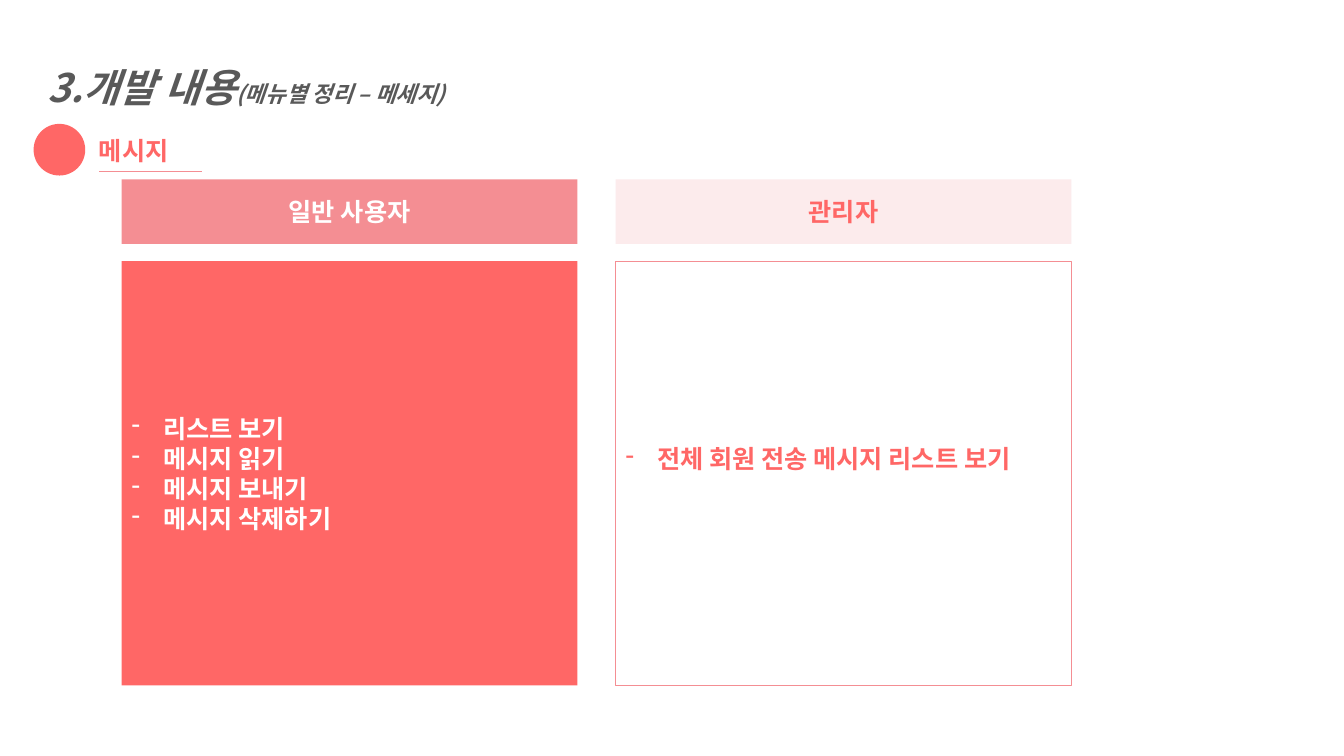
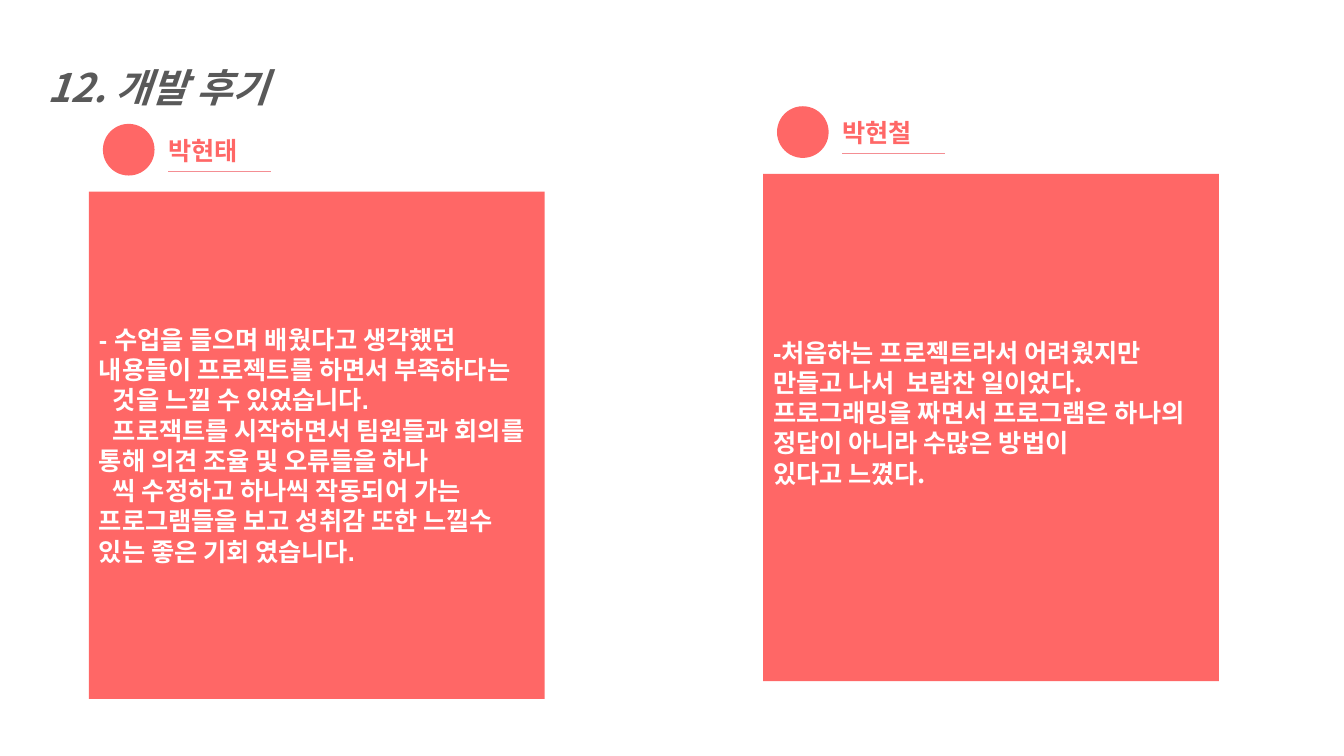
import pptx
import pptx.util
import pptx.dml.color
import pptx.enum.shapes
import pptx.enum.text
import pptx.oxml.ns
import lxml.etree

COLS, ROWS = 160, 90
CORAL, PINK, PALE, WHITE, GREY = "FF6766", "F48E93", "FCEBEC", "FFFFFF", "595959"
ARIAL, NOTO = "Arial", "Noto Sans CJK KR"
PANEL_W = 54.25
SHAPE = pptx.enum.shapes.MSO_SHAPE
ALIGN = pptx.enum.text.PP_ALIGN
ANCHOR = pptx.enum.text.MSO_ANCHOR


def rgb(value):
    return pptx.dml.color.RGBColor.from_string(value)


def add_child(parent, tag, **attrs):
    return lxml.etree.SubElement(parent, pptx.oxml.ns.qn(tag), attrs)


class Deck:
    def __init__(self):
        self.prs = pptx.Presentation()
        self.prs.slide_width = pptx.util.Inches(13.33)
        self.prs.slide_height = pptx.util.Inches(7.5)
        self.s = None

    def x(self, cols):
        return round(self.prs.slide_width * cols / COLS)

    def y(self, rows):
        return round(self.prs.slide_height * rows / ROWS)

    def box(self, x, y, w, h):
        return self.x(x), self.y(y), self.x(w), self.y(h)

    def run(self, p, text, size=18, color=CORAL, font=NOTO, italic=False):
        r = p.add_run()
        r.text = text
        r.font.size = pptx.util.Pt(size)
        r.font.bold = True
        r.font.italic = italic
        r.font.name = font
        r.font.color.rgb = rgb(color)
        add_child(r.font._element, "a:ea", typeface=NOTO)

    def slide(self, title, subtitle=""):
        self.s = self.prs.slides.add_slide(self.prs.slide_layouts[6])
        tf = self.s.shapes.add_textbox(*self.box(4.5, 4.1, 79.8, 9.7)).text_frame
        tf.word_wrap = True
        p = tf.paragraphs[0]
        p.line_spacing = 1.5
        self.run(p, title, 28, GREY, italic=True)
        if subtitle:
            self.run(p, subtitle, 16, GREY, italic=True)

    def shape(self, kind, x, y, w, h, fill, line=None):
        sp = self.s.shapes.add_shape(kind, *self.box(x, y, w, h))
        sp.shadow.inherit = False
        sp.fill.solid()
        sp.fill.fore_color.rgb = rgb(fill)
        if line:
            sp.line.color.rgb = rgb(line)
            sp.line.width = pptx.util.Pt(1)
        else:
            sp.line.fill.background()
        return sp

    def badge(self, x, y, label):
        self.shape(SHAPE.OVAL, x, y, 6.15, 6.15, CORAL)
        tf = self.s.shapes.add_textbox(*self.box(x + 6.6, y + 0.75, 11.5, 4.8)).text_frame
        tf.word_wrap = False
        self.run(tf.paragraphs[0], label)
        left, level = self.x(x + 7.8), self.y(y + 5.65)
        ln = self.s.shapes.add_connector(
            pptx.enum.shapes.MSO_CONNECTOR.STRAIGHT, left, level, self.x(x + 20), level)
        ln.line.color.rgb = rgb(PINK)
        ln.line.width = pptx.util.Pt(0.5)
        add_child(ln._element.spPr, "a:effectLst")

    def panel(self, x, y, h, paragraphs, fill=CORAL, color=WHITE, line=None,
              align=ALIGN.LEFT, bullets=False, indents=(), raised=False):
        sp = self.shape(SHAPE.RECTANGLE, x, y, PANEL_W, h, fill, line)
        tf = sp.text_frame
        tf.word_wrap = True
        tf.vertical_anchor = ANCHOR.MIDDLE
        if raised:
            tf.margin_bottom = self.y(4.2)
        for i, runs in enumerate(paragraphs):
            p = tf.add_paragraph() if i else tf.paragraphs[0]
            p.alignment = align
            pPr = p._p.get_or_add_pPr()
            if bullets:
                pPr.set("marL", str(self.x(3.75)))
                pPr.set("indent", str(-self.x(3.75)))
                add_child(pPr, "a:buFontTx")
                add_child(pPr, "a:buChar", char="-")
            elif i in indents:
                pPr.set("indent", str(self.x(1.67)))
            for text, font in runs:
                self.run(p, text, color=color, font=font)


def messages(deck):
    deck.slide("3.개발 내용", "(메뉴별 정리 – 메세지)")
    deck.badge(4, 14.75, "메시지")
    user, admin = 14.5, 73.3
    head = dict(y=21.35, h=7.7, align=ALIGN.CENTER)
    body = dict(y=31.1, h=50.5, bullets=True)
    tasks = ["리스트 보기", "메시지 읽기", "메시지 보내기", "메시지 삭제하기"]
    deck.panel(user, paragraphs=[[("일반 사용자", ARIAL)]], fill=PINK, **head)
    deck.panel(admin, paragraphs=[[("관리자", ARIAL)]], fill=PALE, color=CORAL, **head)
    deck.panel(user, paragraphs=[[(task, ARIAL)] for task in tasks], **body)
    deck.panel(admin, paragraphs=[[("전체 회원 전송 메시지 리스트 보기", ARIAL)]],
               fill=WHITE, color=CORAL, line=PINK, raised=True, **body)


def reviews(deck):
    deck.slide("12. 개발 후기")
    first = [
        [("- 수업을 들으며 배웠다고 생각했던 내용들이 프로젝트를 하면서 부족하다는", ARIAL)],
        [("것을 느낄 수 있었습니다.", ARIAL)],
        [("프로잭트를 시작하면서 팀원들과 회의를 통해 의견 조율 및 오류들을 하나", ARIAL)],
        [("씩 수정하고 하나씩 작동되어 가는 프로그램들을 보고 성취감 또한 느낄수 "
          "있는 좋은 기회 였습니다.", ARIAL)],
    ]
    second = [
        [("-", ARIAL), ("처음하는 프로젝트라서 어려웠지만 만들고 나서  보람찬 일이었다.", NOTO)],
        [("프로그래밍을 짜면서 프로그램은 하나의 정답이 아니라 수많은 방법이", NOTO)],
        [("있다고 느꼈다.", NOTO)],
    ]
    for x, y, name, text, options in (
            (12.25, 14.75, "박현태", first, dict(indents=(1, 2, 3))),
            (92.5, 12.65, "박현철", second, dict(raised=True))):
        deck.badge(x, y, name)
        deck.panel(x - 1.65, y + 8.05, 60.4, text, **options)


def main():
    deck = Deck()
    messages(deck)
    reviews(deck)
    deck.prs.save("out.pptx")


if __name__ == "__main__":
    main()
